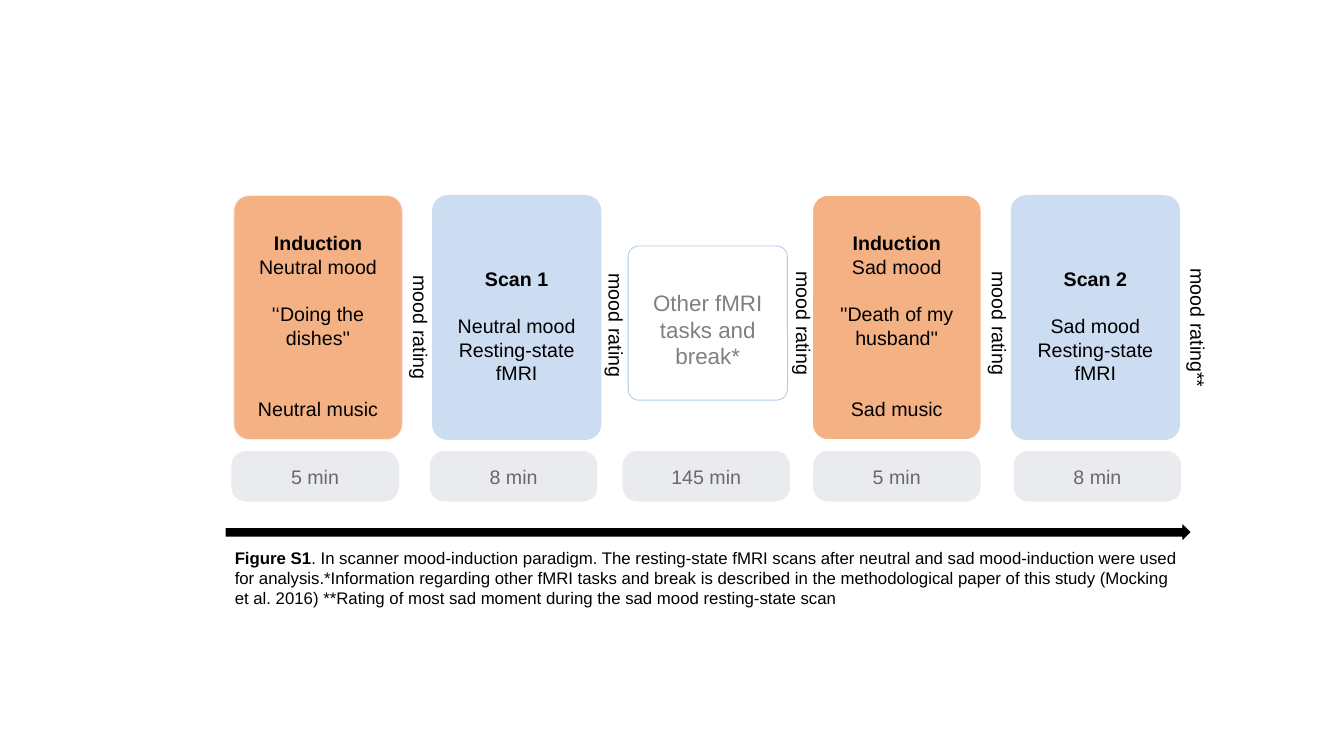
"""Build the mood-induction scan paradigm timeline slide."""
from pptx import Presentation
from pptx.dml.color import RGBColor
from pptx.enum.shapes import MSO_SHAPE
from pptx.enum.text import MSO_ANCHOR, PP_ALIGN
from pptx.util import Inches, Pt

ROUNDED = MSO_SHAPE.ROUNDED_RECTANGLE
ARROW = MSO_SHAPE.RIGHT_ARROW
CENTER, LEFT = PP_ALIGN.CENTER, PP_ALIGN.LEFT
MIDDLE, TOP = MSO_ANCHOR.MIDDLE, MSO_ANCHOR.TOP

FONT = "Arial"
BLACK, WHITE = "000000", "FFFFFF"
ORANGE, BLUE, PALE = "F4B183", "CDDDF1", "E9EBEF"
LINE_GAP = 17

CARD_WIDTH, CARD_TOP, CARD_HEIGHT = 1.67, 1.94, 2.42
BREAK_BOX = (6.23, 2.44, 1.58, 1.53)
LABEL_HEIGHT = 0.34

# Each card: left, fill, line, then (text, bold, blank lines above).
CARDS = [
    (2.32, ORANGE, "F9EBEF", [("Induction", True, 0), ("Neutral mood", False, 0),
                              ("'‘Doing the dishes''", False, 1), ("Neutral music", False, 2)]),
    (4.29, BLUE, BLUE, [("Scan 1", True, 0), ("Neutral mood Resting-state fMRI", False, 1)]),
    (8.06, ORANGE, WHITE, [("Induction", True, 0), ("Sad mood", False, 0),
                           ("''Death of my husband''", False, 1), ("Sad music", False, 2)]),
    (10.03, BLUE, BLUE, [("Scan 2", True, 0), ("Sad mood", False, 1),
                         ("Resting-state fMRI", False, 0)]),
]
DURATIONS = [(2.29, "5 min"), (4.26, "8 min"), (6.17, "145 min"), (8.06, "5 min"), (10.05, "8 min")]
RATINGS = [(4.17, 3.27, 1.27, "mood rating"), (6.11, 3.25, 1.27, "mood rating"),
           (7.97, 3.23, 1.27, "mood rating"), (9.91, 3.23, 1.27, "mood rating"),
           (11.88, 3.27, 1.41, "mood rating**")]
NOTES = [(2.38, 3.75, "868686"), (8.22, 3.7, "7E7E7E")]
NOTE_START = (0, 0.21)
NOTE_CURVES = [
    ((0, 0.19), (0.03, 0.17), (0.07, 0.16)), ((0.09, 0.16), (0.11, 0.16), (0.12, 0.17)),
    ((0.12, 0.17), (0.12, 0), (0.12, 0)), ((0.12, 0), (0.18, 0), (0.23, 0.06)),
    ((0.27, 0.12), (0.23, 0.16), (0.21, 0.15)), ((0.19, 0.15), (0.21, 0.13), (0.2, 0.1)),
    ((0.19, 0.07), (0.15, 0.07), (0.15, 0.07)), ((0.15, 0.07), (0.15, 0.21), (0.15, 0.21)),
    ((0.15, 0.24), (0.12, 0.26), (0.07, 0.26)), ((0.03, 0.26), (0, 0.24), (0, 0.21)),
]
CAPTION = [("Figure S1", True), (
    ". In scanner mood-induction paradigm. The resting-state fMRI scans after neutral and sad "
    "mood-induction were used for analysis.*Information regarding other fMRI tasks and break is "
    "described in the methodological paper of this study (Mocking et al. 2016) **Rating of most "
    "sad moment during the sad mood resting-state scan", False)]


def color(value):
    return RGBColor.from_string(value)


def add_span(para, text, size=14, ink=BLACK, bold=False):
    span = para.add_run()
    span.text = text
    span.font.name, span.font.size, span.font.bold = FONT, Pt(size), bold
    span.font.color.rgb = color(ink)


def write(box, lines, size=14, ink=BLACK, align=CENTER, anchor=MIDDLE, margins=(0.03, 0.02, 0.03, 0.02)):
    frame = box.text_frame
    frame.word_wrap, frame.vertical_anchor = True, anchor
    frame.margin_left, frame.margin_top, frame.margin_right, frame.margin_bottom = map(Inches, margins)
    for index, (text, bold, gap) in enumerate(lines):
        para = frame.add_paragraph() if index else frame.paragraphs[0]
        para.alignment = align
        para.space_before = Pt(gap * LINE_GAP)
        add_span(para, text, size=size, ink=ink, bold=bold)


def paint(shape, fill, line=None, weight=0.6):
    shape.shadow.inherit = False
    shape.fill.solid()
    shape.fill.fore_color.rgb = color(fill)
    if line:
        shape.line.color.rgb = color(line)
        shape.line.width = Pt(weight)
    else:
        shape.line.fill.background()


def add_panel(page, place, fill, line, corner):
    box = page.shapes.add_shape(ROUNDED, *map(Inches, place))
    box.adjustments[0] = corner
    paint(box, fill, line)
    return box


def add_note(page, left, top, fill, steps=8):
    points, start = [], NOTE_START
    for first, second, end in NOTE_CURVES:
        for step in range(1, steps + 1):
            t = step / steps
            points.append(tuple(
                (1 - t) ** 3 * a + 3 * (1 - t) ** 2 * t * b + 3 * (1 - t) * t ** 2 * c + t ** 3 * d
                for a, b, c, d in zip(start, first, second, end)))
        start = end
    builder = page.shapes.build_freeform(*NOTE_START, scale=Inches(1))
    builder.add_line_segments(points, close=True)
    paint(builder.convert_to_shape(Inches(left), Inches(top)), fill)


def main():
    deck = Presentation()
    deck.slide_width, deck.slide_height = Inches(13.33), Inches(7.5)
    page = deck.slides.add_slide(deck.slide_layouts[6])

    for left, fill, line, lines in CARDS:
        card = add_panel(page, (left, CARD_TOP, CARD_WIDTH, CARD_HEIGHT), fill, line, 0.09)
        write(card, lines, margins=(0.03, 0.18, 0.03, 0.02))
    pause = add_panel(page, BREAK_BOX, WHITE, "AECAEA", 0.07)
    write(pause, [("Other fMRI tasks and break*", False, 0)], size=16, ink="808080",
          margins=(0.03, 0.14, 0.03, 0.02))
    for left, text in DURATIONS:
        pill = add_panel(page, (left, 4.47, CARD_WIDTH, 0.51), PALE, WHITE, 0.29)
        write(pill, [(text, False, 0)], ink="696969")
    for left, top, fill in NOTES:
        add_note(page, left, top, fill)

    timeline = page.shapes.add_shape(ARROW, Inches(2.23), Inches(5.18), Inches(9.59), Inches(0.2))
    paint(timeline, BLACK, WHITE, weight=1)

    for middle_x, middle_y, width, text in RATINGS:
        label = page.shapes.add_textbox(Inches(middle_x - width / 2), Inches(middle_y - LABEL_HEIGHT / 2),
                                        Inches(width), Inches(LABEL_HEIGHT))
        label.rotation = 90
        write(label, [(text, False, 0)], align=LEFT, anchor=TOP, margins=(0.1, 0.05, 0.1, 0.05))

    caption = page.shapes.add_textbox(Inches(2.23), Inches(5.38), Inches(9.59), Inches(1.01))
    caption.text_frame.word_wrap = True
    for text, bold in CAPTION:
        add_span(caption.text_frame.paragraphs[0], text, size=12, bold=bold)
    deck.save("out.pptx")


if __name__ == "__main__":
    main()
